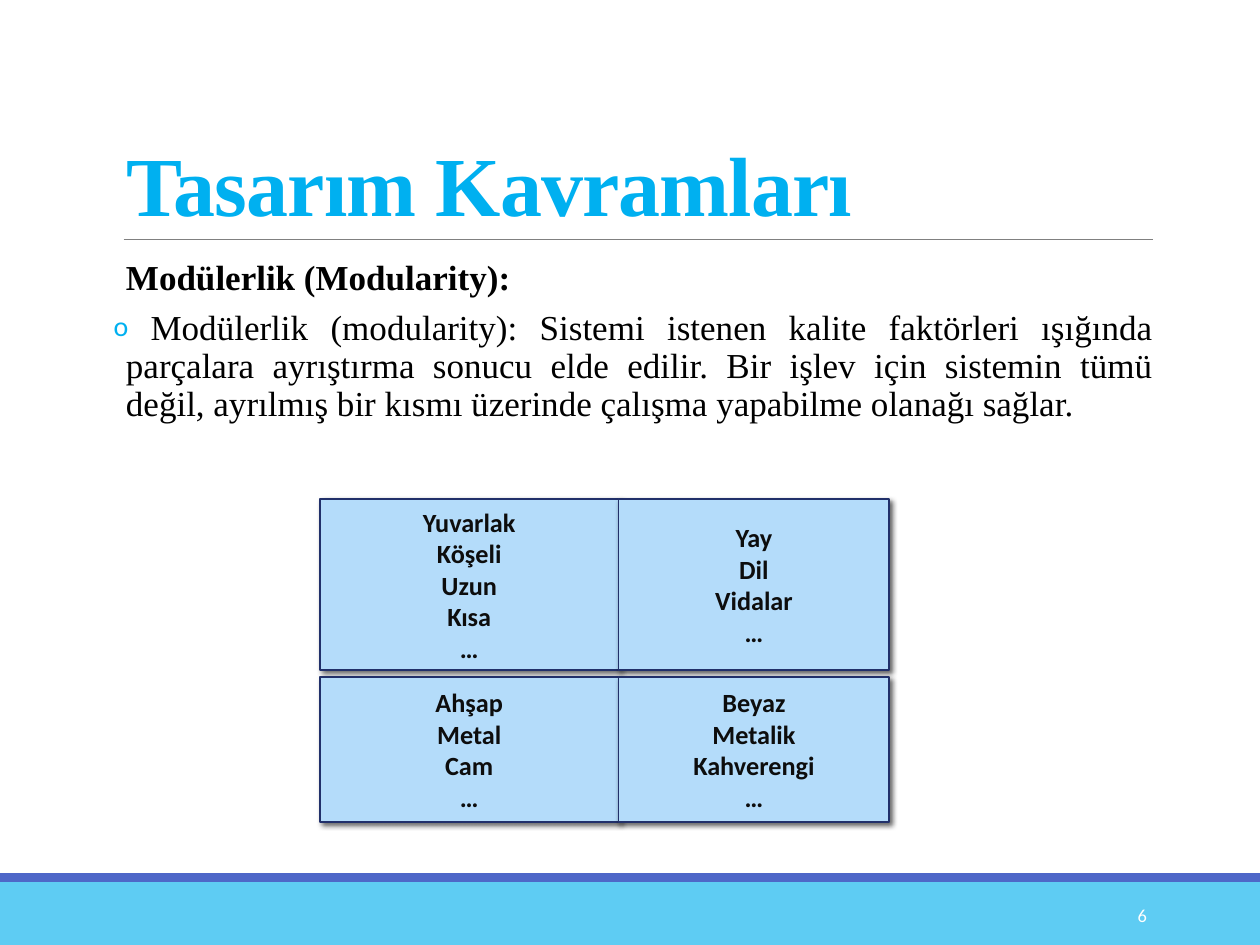
from dataclasses import dataclass

from lxml import etree
from pptx import Presentation
from pptx.dml.color import RGBColor
from pptx.enum.shapes import MSO_CONNECTOR, MSO_SHAPE
from pptx.enum.text import MSO_ANCHOR, MSO_AUTO_SIZE, PP_ALIGN
from pptx.oxml import parse_xml
from pptx.oxml.ns import nsdecls, qn
from pptx.util import Cm, Pt

RECTANGLE = MSO_SHAPE.RECTANGLE
STRAIGHT = MSO_CONNECTOR.STRAIGHT
MIDDLE, BOTTOM = MSO_ANCHOR.MIDDLE, MSO_ANCHOR.BOTTOM
LEFT, CENTER = PP_ALIGN.LEFT, PP_ALIGN.CENTER
RIGHT, JUSTIFY = PP_ALIGN.RIGHT, PP_ALIGN.JUSTIFY
TITLE_ONLY = 5


@dataclass(frozen=True)
class Theme:
    serif: str = "Times New Roman"
    sans: str = "Calibri"
    title: str = "00B0F0"
    body: str = "000000"
    module_text: str = "0D0D0D"
    module_fill: str = "B4DCFA"
    module_line: str = "21306A"
    rule: str = "808080"
    band: str = "5ECCF3"
    stripe: str = "4E67C8"
    number: str = "FFFFFF"
    title_size: float = 48
    body_size: float = 20
    module_size: float = 15
    number_size: float = 10.5


THEME = Theme()


def rgb(value):
    return RGBColor.from_string(value)


def add_span(para, text, font, size, color, bold=False):
    span = para.add_run()
    span.text = text
    span.font.name = font
    span.font.size = Pt(size)
    span.font.bold = bold
    span.font.color.rgb = rgb(color)
    return span


def add_rectangle(page, left, top, width, height, fill):
    box = page.shapes.add_shape(RECTANGLE, left, top, width, height)
    box.shadow.inherit = False
    box.fill.solid()
    box.fill.fore_color.rgb = rgb(fill)
    box.line.fill.background()
    return box


def add_title(page, left, top, width, height, text):
    title = page.shapes.title
    title.left, title.top, title.width, title.height = left, top, width, height
    frame = title.text_frame
    frame.auto_size = MSO_AUTO_SIZE.NONE
    frame.vertical_anchor = BOTTOM
    para = frame.paragraphs[0]
    para.alignment = LEFT
    para.line_spacing = 0.85
    span = add_span(para, text, THEME.serif, THEME.title_size, THEME.title, True)
    span.font._element.set("spc", "-50")

    rule = page.shapes.add_connector(
        STRAIGHT, left + Cm(0.2), top + height, left + width, top + height)
    rule.line.color.rgb = rgb(THEME.rule)
    rule.line.width = Pt(0.5)
    etree.SubElement(rule._element.spPr, qn("a:effectLst"))


def add_bullet(para):
    properties = para._p.get_or_add_pPr()
    properties.set("indent", str(-Cm(0.25)))
    color = etree.SubElement(properties, qn("a:buClr"))
    etree.SubElement(color, qn("a:srgbClr"), val=THEME.title)
    etree.SubElement(properties, qn("a:buSzPct"), val="80000")
    etree.SubElement(properties, qn("a:buFont"), typeface=THEME.sans)
    etree.SubElement(properties, qn("a:buChar"), char="o")


def add_body(page, left, top, width, height, heading, statement):
    frame = page.shapes.add_textbox(left, top, width, height).text_frame
    frame.word_wrap = True
    frame.margin_left = frame.margin_right = 0
    first, second = frame.paragraphs[0], frame.add_paragraph()
    add_bullet(second)
    for para in (first, second):
        para._p.get_or_add_pPr().set("marL", str(Cm(0.25)))
        para.line_spacing = 0.9
    first.space_after = Pt(2)
    second.space_before = Pt(5)
    second.alignment = JUSTIFY
    add_span(first, heading, THEME.serif, THEME.body_size, THEME.body, True)
    add_span(second, statement, THEME.serif, THEME.body_size, THEME.body)


def add_module(page, left, top, width, height, words):
    box = add_rectangle(page, left, top, width, height, THEME.module_fill)
    box.line.color.rgb = rgb(THEME.module_line)
    box.line.width = Pt(1)
    properties = box._element.spPr
    properties.remove(properties.find(qn("a:effectLst")))
    properties.append(parse_xml(
        f'<a:effectLst {nsdecls("a")}><a:outerShdw blurRad="{Pt(3)}" '
        f'dist="{Pt(2)}" dir="2700000" algn="tl" rotWithShape="0">'
        '<a:srgbClr val="000000"><a:alpha val="60000"/></a:srgbClr>'
        '</a:outerShdw></a:effectLst>'))
    frame = box.text_frame
    frame.vertical_anchor = MIDDLE
    para = frame.paragraphs[0]
    para.alignment = CENTER
    for index, word in enumerate(words):
        if index:
            para.add_line_break()
        add_span(para, word, THEME.sans, THEME.module_size,
                 THEME.module_text, True)


def add_modules(page, left, top, widths, heights, gap, rows):
    for row, height in zip(rows, heights):
        column_left = left
        for words, width in zip(row, widths):
            add_module(page, column_left, top, width, height, words)
            column_left += width
        top += height + gap


def add_footer(page, left, top, width, height, number):
    stripe = Cm(0.18)
    add_rectangle(page, left, top + stripe, width, height - stripe, THEME.band)
    add_rectangle(page, left, top, width, stripe, THEME.stripe)
    box = page.shapes.add_textbox(
        left + width - Cm(4.78), top + Cm(0.33), Cm(2.75), Cm(1.02))
    frame = box.text_frame
    frame.word_wrap = True
    frame.vertical_anchor = MIDDLE
    para = frame.paragraphs[0]
    para.alignment = RIGHT
    add_span(para, number, THEME.sans, THEME.number_size, THEME.number)


def main():
    deck = Presentation()
    deck.slide_width, deck.slide_height = Cm(25.4), Cm(19.05)
    page = deck.slides.add_slide(deck.slide_layouts[TITLE_ONLY])
    left, width = Cm(2.29), Cm(20.96)

    add_footer(page, 0, Cm(17.6), deck.slide_width, Cm(1.45), "6")
    add_title(page, left, Cm(0.79), width, Cm(4.04), "Tasarım Kavramları")
    add_body(
        page, left, Cm(5.13), width, Cm(4.11),
        "Modülerlik (Modularity):",
        " Modülerlik (modularity): Sistemi istenen kalite faktörleri ışığında "
        "parçalara ayrıştırma sonucu elde edilir. Bir işlev için sistemin tümü "
        "değil, ayrılmış bir kısmı üzerinde çalışma yapabilme olanağı sağlar.")
    add_modules(
        page, Cm(6.45), Cm(10.06), (Cm(6.02), Cm(5.46)), (Cm(3.45), Cm(2.92)),
        Cm(0.14), (
            (("Yuvarlak", "Köşeli", "Uzun", "Kısa", "…"),
             ("Yay", "Dil", "Vidalar", "…")),
            (("Ahşap", "Metal", "Cam", "…"),
             ("Beyaz", "Metalik", "Kahverengi", "…")),
        ))
    deck.save("out.pptx")


if __name__ == "__main__":
    main()
